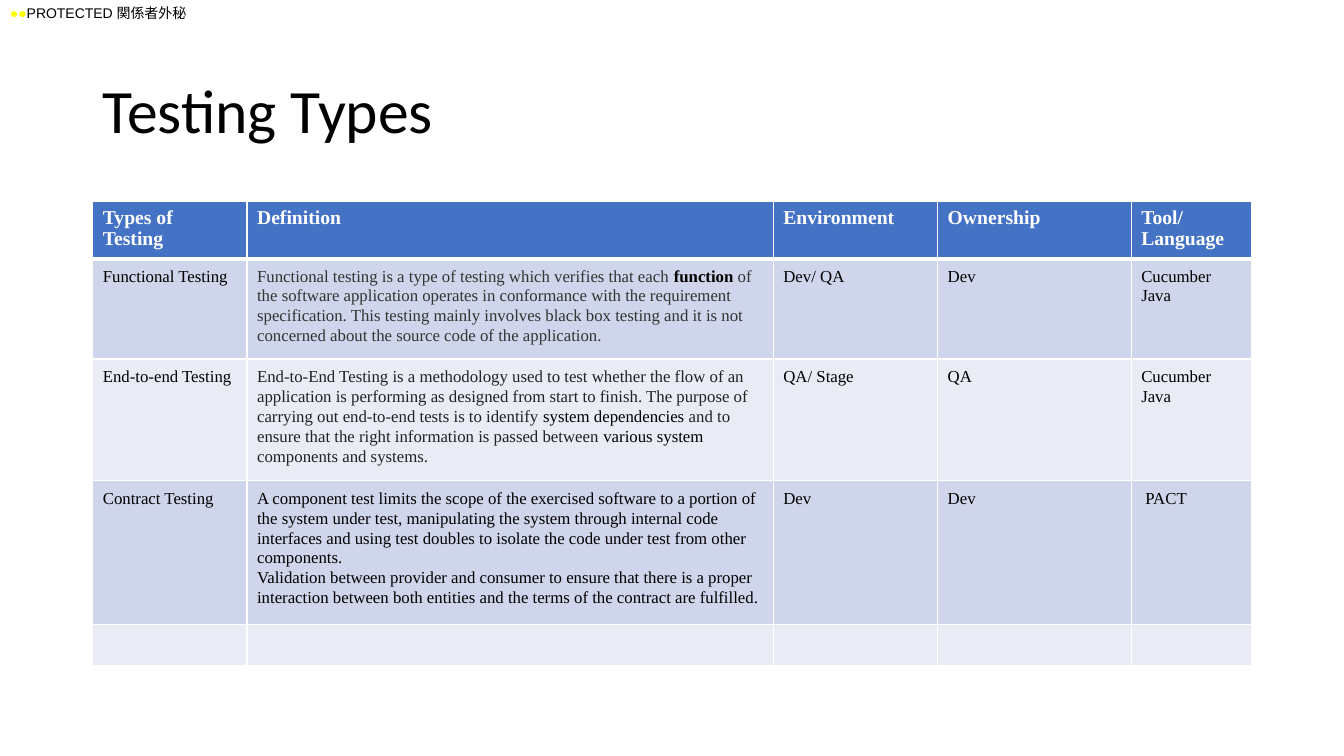
"""Build the Testing Types slide: a confidentiality label, a title and a table."""
from lxml.etree import SubElement
from pptx import Presentation
from pptx.dml.color import RGBColor
from pptx.enum.text import MSO_ANCHOR as Anchor
from pptx.oxml.ns import qn
from pptx.util import Inches, Pt

WHITE, BLACK, YELLOW = "FFFFFF", "000000", "FFFF00"
HEADER_BLUE, BAND_DARK, BAND_LIGHT = "4472C4", "CFD5EA", "E9EBF5"
CHARCOAL, GRAY = "343434", "222222"
SERIF = "Times New Roman"


def add_run(paragraph, text, size, font, color, bold=False):
    run = paragraph.add_run()
    run.text = text
    run.font.size = Pt(size)
    run.font.name = font
    run.font.bold = bold
    run.font.color.rgb = RGBColor.from_string(color)


def add_border(cell, side, points):
    line = SubElement(cell._tc.get_or_add_tcPr(), qn(f"a:ln{side}"), w=str(Pt(points)))
    fill = SubElement(line, qn("a:solidFill"))
    SubElement(fill, qn("a:srgbClr"), val=WHITE)


functional = [[
    ("Functional testing is a type of testing which verifies that each ", CHARCOAL, False),
    ("function", BLACK, True),
    (" of the software application operates in conformance with the requirement "
     "specification. This testing mainly involves black box testing and it is not "
     "concerned about the source code of the application.", CHARCOAL, False),
]]
end_to_end = [[
    ("End-to-End Testing is a methodology used to test whether the flow of an application "
     "is performing as designed from start to finish. The purpose of carrying out "
     "end-to-end tests is to identify ", GRAY, False),
    ("system dependencies", BLACK, False),
    (" and to ensure that the right information is passed between ", GRAY, False),
    ("various system", BLACK, False),
    (" components and systems.", GRAY, False),
]]
contract = [
    [("A component test limits the scope of the exercised software to a portion of the "
      "system under test, manipulating the system through internal code interfaces and "
      "using test doubles to isolate the code under test from other components.",
      BLACK, False)],
    [("Validation between provider and consumer to ensure that there is a proper "
      "interaction between both entities and the terms of the contract are fulfilled.",
      BLACK, False)],
]
rows = [
    ["Types of Testing", "Definition", "Environment", "Ownership", "Tool/ Language"],
    ["Functional Testing", functional, "Dev/ QA", "Dev", "Cucumber Java"],
    ["End-to-end Testing", end_to_end, "QA/ Stage", "QA", "Cucumber Java"],
    ["Contract Testing", contract, "Dev", "Dev", " PACT"],
    [""] * 5,
]
column_widths = [1.53, 5.22, 1.63, 1.92, 1.19]

prs = Presentation()
prs.slide_width, prs.slide_height = Inches(13.33), Inches(7.5)
slide = prs.slides.add_slide(prs.slide_layouts[6])

label = slide.shapes.add_textbox(0, 0, Inches(13.33), Inches(0.27)).text_frame
label.word_wrap = True
add_run(label.paragraphs[0], "●●", 10, "Arial", YELLOW, True)
add_run(label.paragraphs[0], "PROTECTED 関係者外秘", 10, "Arial", BLACK)

title = slide.shapes.add_textbox(Inches(0.92), Inches(0.4), Inches(11.5), Inches(1.45)).text_frame
title.word_wrap = True
title.vertical_anchor = Anchor.MIDDLE
title.paragraphs[0].line_spacing = 0.9
add_run(title.paragraphs[0], "Testing Types", 44, "Calibri", BLACK)

testing = slide.shapes.add_table(
    len(rows), len(column_widths), Inches(0.92), Inches(2), Inches(11.5), Inches(2.05)).table
for column, width in zip(testing.columns, column_widths):
    column.width = Inches(width)

for row_index, row in enumerate(rows):
    testing.rows[row_index].height = Inches(0.41)
    is_header = row_index == 0
    band = HEADER_BLUE if is_header else BAND_DARK if row_index % 2 else BAND_LIGHT
    text_color = WHITE if is_header else BLACK
    for column_index, content in enumerate(row):
        cell = testing.cell(row_index, column_index)
        for side in "LRTB":
            under_header = (row_index, side) in [(0, "B"), (1, "T")]
            add_border(cell, side, 3 if under_header else 1)
        cell.fill.solid()
        cell.fill.fore_color.rgb = RGBColor.from_string(band)
        if not content:
            continue
        if not is_header:
            cell.margin_top = cell.margin_bottom = Inches(0.07)
        paragraphs = [[(content, text_color, is_header)]] if isinstance(content, str) else content
        for index, runs in enumerate(paragraphs):
            frame = cell.text_frame
            paragraph = frame.add_paragraph() if index else frame.paragraphs[0]
            if not is_header:
                paragraph.line_spacing = 1.07
            for text, color, bold in runs:
                add_run(paragraph, text, 14 if is_header else 12, SERIF, color, bold)

prs.save("out.pptx")
